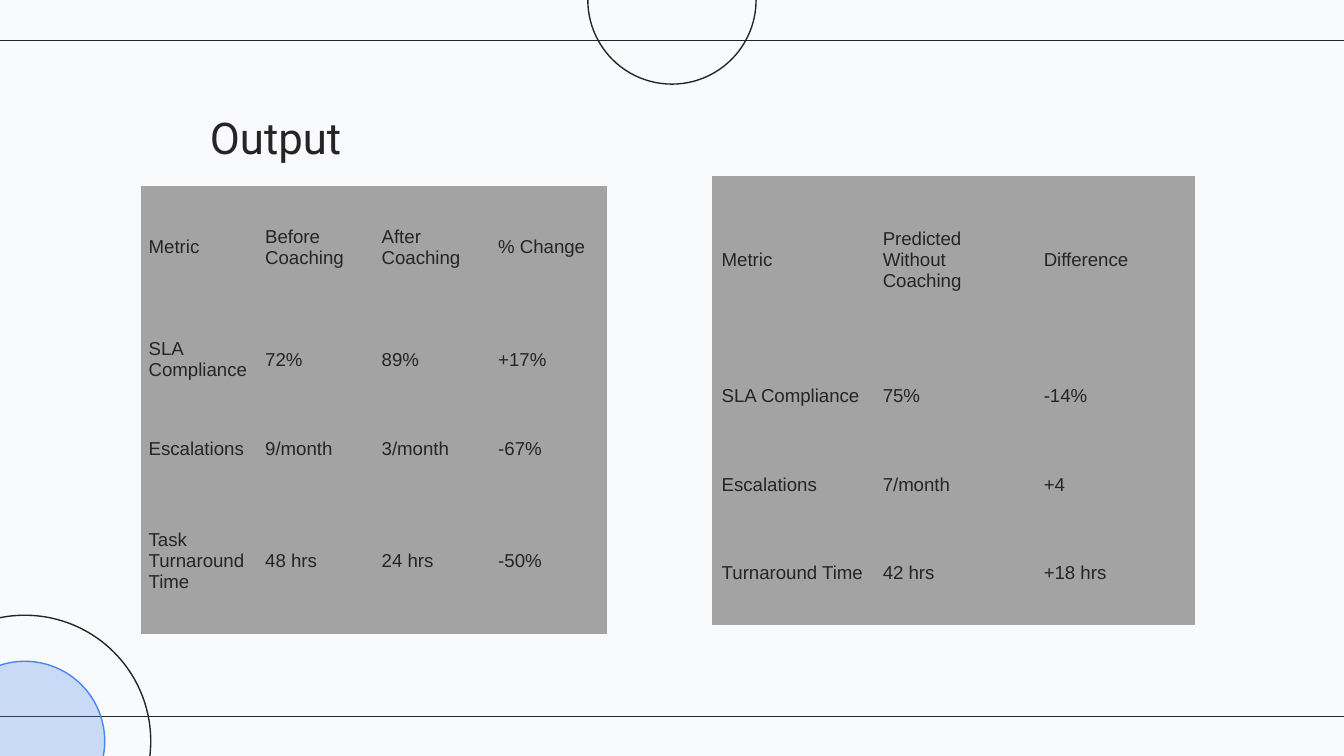
import pptx
import pptx.util
import pptx.dml.color
import pptx.enum.shapes
import pptx.enum.text
import pptx.oxml.ns
import lxml.etree

Cm, Pt = pptx.util.Cm, pptx.util.Pt
WIDE, HIGH = 25.4, 14.29
INK, BLUE, GREY, PAPER = "262425", "4A86E8", "A3A3A3", "F8FAFB"
PLAIN = "{2D5ABB26-0587-4C30-8999-92F81FD0307C}"  # table style without grid

BEFORE = [
    ["Metric", "Before Coaching", "After Coaching", "% Change"],
    ["SLA Compliance", "72%", "89%", "+17%"],
    ["Escalations", "9/month", "3/month", "-67%"],
    ["Task Turnaround Time", "48 hrs", "24 hrs", "-50%"],
]
WITHOUT = [
    ["Metric", "Predicted Without Coaching", "Difference"],
    ["SLA Compliance", "75%", "-14%"],
    ["Escalations", "7/month", "+4"],
    ["Turnaround Time", "42 hrs", "+18 hrs"],
]


def color(code):
    return pptx.dml.color.RGBColor.from_string(code)


def tag(parent, name, **attrs):
    return lxml.etree.SubElement(parent, pptx.oxml.ns.qn(name), attrs)


def style(frame, font, size):
    for para in frame.paragraphs:
        for run in para.runs:
            run.font.name = font
            run.font.size = Pt(size)
            run.font.color.rgb = color(INK)


def pad(item, side, edge):
    item.margin_left = item.margin_right = Cm(side)
    item.margin_top = item.margin_bottom = Cm(edge)


def add_rule(slide, left, top, width):
    rule = slide.shapes.add_connector(
        pptx.enum.shapes.MSO_CONNECTOR.STRAIGHT,
        Cm(left), Cm(top), Cm(left + width), Cm(top))
    rule.line.color.rgb = color(INK)
    rule.line.width = Pt(0.75)
    tag(rule._element.spPr, "a:effectLst")


def add_ring(slide, x, y, size, line=INK, fill=None, alpha=100):
    """Draw a circle centred on x, y; alpha is the fill's opacity in percent."""
    ring = slide.shapes.add_shape(
        pptx.enum.shapes.MSO_SHAPE.OVAL,
        Cm(x - size / 2), Cm(y - size / 2), Cm(size), Cm(size))
    ring.shadow.inherit = False
    ring.line.color.rgb = color(line)
    ring.line.width = Pt(0.75)
    if fill:
        ring.fill.solid()
        ring.fill.fore_color.rgb = color(fill)
        shade = ring._element.spPr.find(".//" + pptx.oxml.ns.qn("a:srgbClr"))
        tag(shade, "a:alpha", val=str(alpha * 1000))
    else:
        ring.fill.background()


def add_decor(slide, left, top, width, height):
    for y in (top + 0.76, top + height - 0.75):
        add_rule(slide, left, y, width)
    x, y = left + 0.47, top + height - 0.28
    add_ring(slide, x, y, 4.76)
    add_ring(slide, x, y, 3.02, BLUE, BLUE, 27)
    add_ring(slide, left + width / 2, top, 3.18)


def add_title(slide, text, left, top, width, height):
    box = slide.shapes.add_textbox(Cm(left), Cm(top), Cm(width), Cm(height))
    frame = box.text_frame
    frame.word_wrap = True
    frame.vertical_anchor = pptx.enum.text.MSO_ANCHOR.BOTTOM
    pad(frame, 0.25, 0.25)
    frame.text = text
    frame.paragraphs[0].alignment = pptx.enum.text.PP_ALIGN.CENTER
    style(frame, "Roboto", 23.4)


def add_grid(slide, rows, left, top, width, heights, side, edge):
    """Place a table of equal columns; side and edge are the cell margins."""
    count = len(rows[0])
    table = slide.shapes.add_table(
        len(rows), count, Cm(left), Cm(top), Cm(width), Cm(sum(heights))).table
    table.first_row = table.horz_banding = False
    table._tbl.tblPr.find(pptx.oxml.ns.qn("a:tableStyleId")).text = PLAIN
    for column in table.columns:
        column.width = Cm(width / count)
    for line, height, texts in zip(table.rows, heights, rows):
        line.height = Cm(height)
        for cell, text in zip(line.cells, texts):
            cell.fill.solid()
            cell.fill.fore_color.rgb = color(GREY)
            cell.vertical_anchor = pptx.enum.text.MSO_ANCHOR.MIDDLE
            pad(cell, side, edge)
            cell.text_frame.text = text
            style(cell.text_frame, "Arial", 10)


def main():
    deck = pptx.Presentation()
    deck.slide_width, deck.slide_height = Cm(WIDE), Cm(HIGH)
    slide = deck.slides.add_slide(deck.slide_layouts[6])
    back = slide.background.fill
    back.solid()
    back.fore_color.rgb = color(PAPER)
    add_decor(slide, 0, 0, WIDE, HIGH)
    add_title(slide, "Output", 2.16, 1.93, 6.1, 1.4)
    add_grid(slide, BEFORE, 2.66, 3.51, 8.81, [2.34, 1.9, 1.47, 2.77], 0.15, 0.08)
    add_grid(slide, WITHOUT, 13.46, 3.33, 9.13, [3.18, 1.96, 1.39, 1.96], 0.18, 0.1)
    deck.save("out.pptx")


if __name__ == "__main__":
    main()
